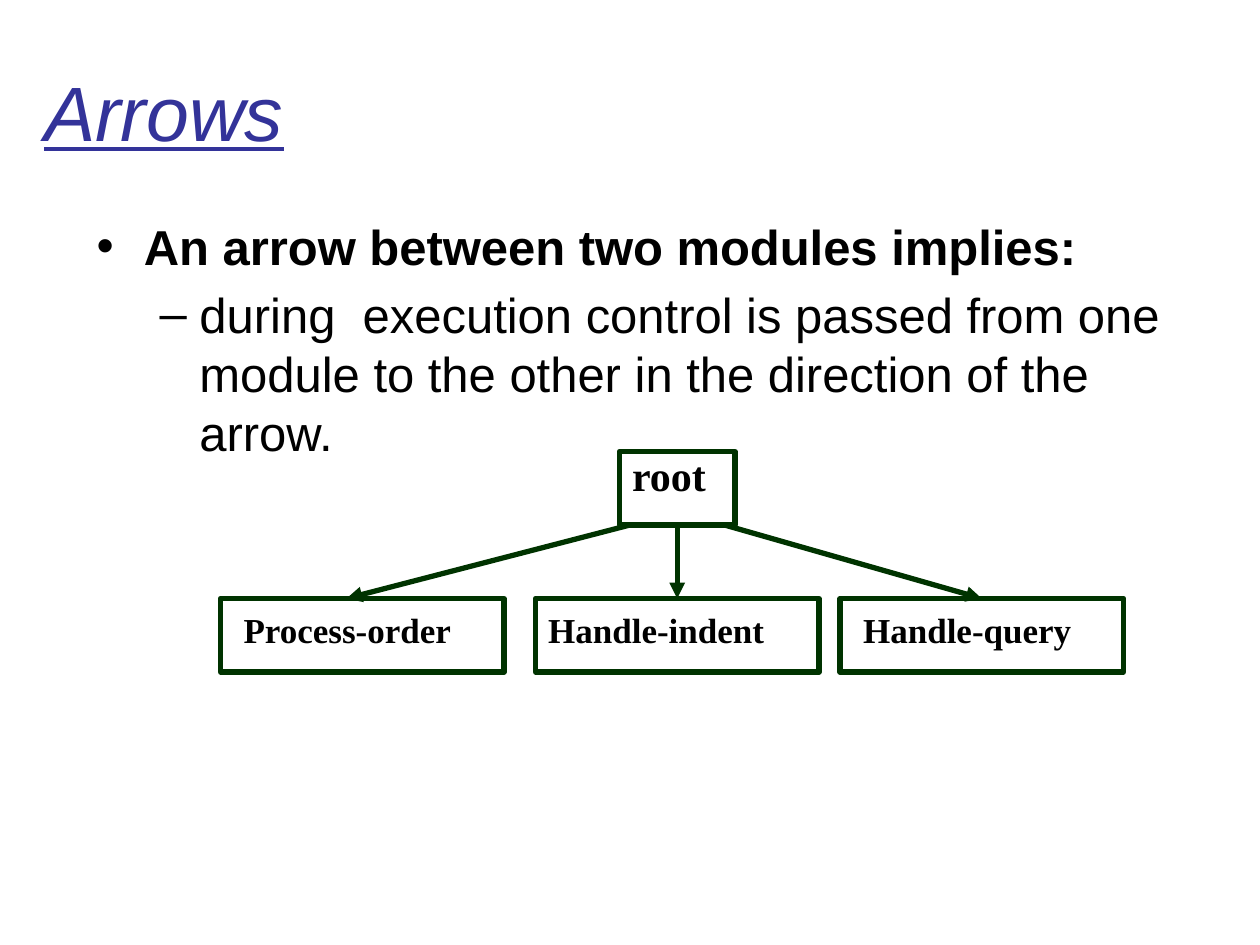
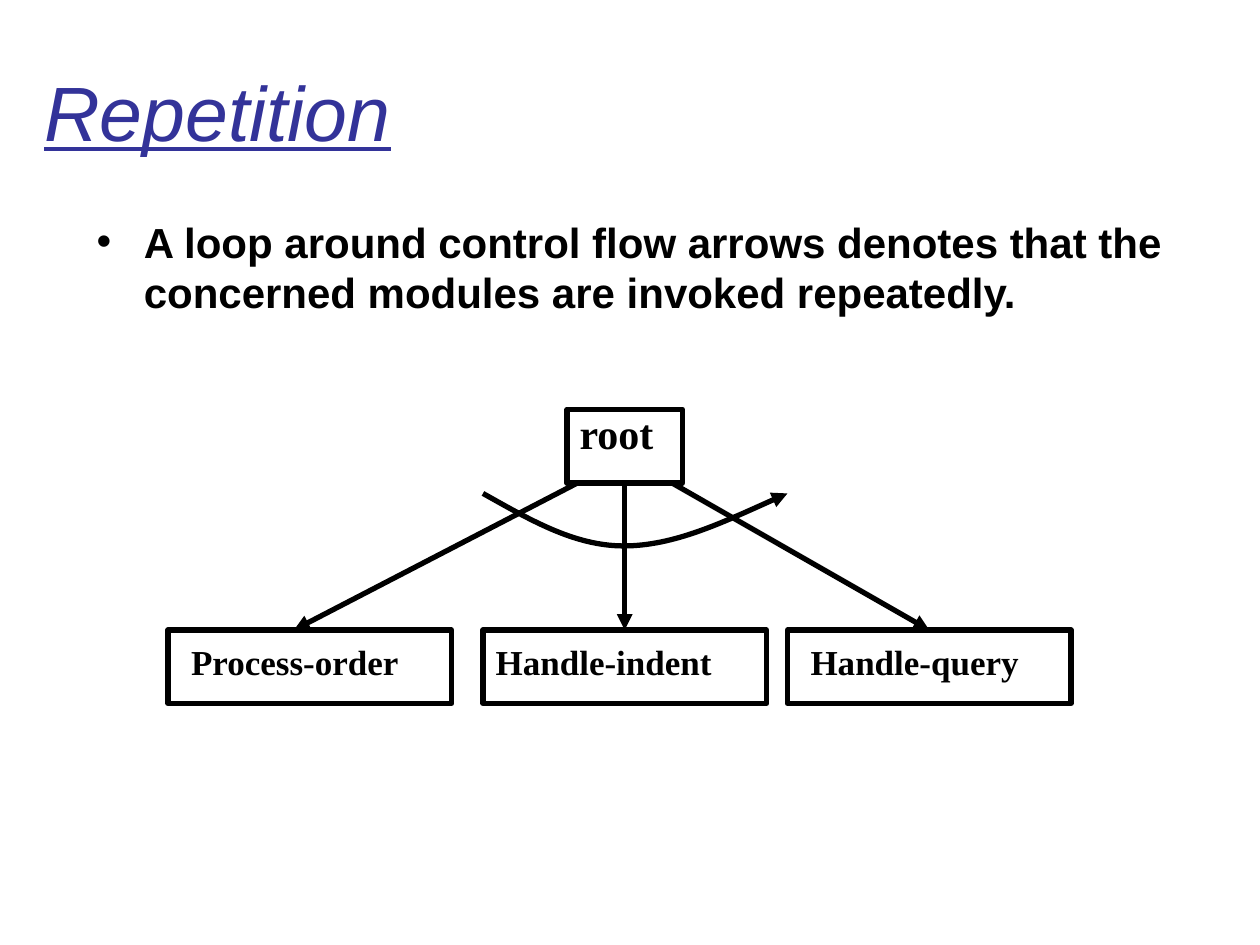
"""Build two slides on structure charts: control arrows and repetition."""
from dataclasses import dataclass

from lxml import etree
from pptx import Presentation
from pptx.dml.color import RGBColor
from pptx.enum.shapes import MSO_CONNECTOR, MSO_SHAPE
from pptx.enum.text import MSO_ANCHOR
from pptx.oxml.ns import qn
from pptx.util import Emu, Pt

STRAIGHT = MSO_CONNECTOR.STRAIGHT
ROUNDED = MSO_SHAPE.ROUNDED_RECTANGLE
TOP, MIDDLE = MSO_ANCHOR.TOP, MSO_ANCHOR.MIDDLE
TOP_SITE, BOTTOM_SITE = 0, 2
EMU_PER_PX = 7620
BLANK_LAYOUT = 6


@dataclass(frozen=True)
class Theme:
    """Colours, fonts and sizes shared by the slides."""
    heading: RGBColor = RGBColor(0x33, 0x33, 0x99)
    text: RGBColor = RGBColor(0, 0, 0)
    green: RGBColor = RGBColor(0, 0x33, 0)
    black: RGBColor = RGBColor(0, 0, 0)
    sans: str = "Arial"
    serif: str = "Times New Roman"
    title_size: int = 44
    large_body: int = 28
    body: int = 24
    root_size: int = 24
    module_size: int = 20
    line_width: int = 3


@dataclass(frozen=True)
class Module:
    """A called module, placed relative to the left of the root box."""
    name: str
    left: int
    label_inset: int
    label_width: int
    arrow_start: int
    arrow_end: int


THEME = Theme()
ROOT_WIDTH, MODULE_WIDTH, BOX_HEIGHT = 110, 270, 70
JOIN_TOLERANCE = 5
MODULES = (
    Module("Process-order", -380, 20, 250, 10, -260),
    Module("Handle-indent", -80, 10, 280, 50, 50),
    Module("Handle-query", 210, 20, 250, 100, 340),
)
BULLETS = (("•", 45, -45), ("–", 98, -38))


def px(value):
    """Turn pixels into EMU."""
    return Emu(value * EMU_PER_PX)


def add_text_frame(slide, left, top, width, height, anchor=TOP):
    """Add a wrapping text box and return its frame."""
    frame = slide.shapes.add_textbox(px(left), px(top), px(width), px(height)).text_frame
    frame.word_wrap = True
    frame.vertical_anchor = anchor
    frame.margin_left = frame.margin_right = px(2)
    frame.margin_top = frame.margin_bottom = px(6)
    return frame


def add_run(paragraph, text, size, font_name, color, **styles):
    """Add one run with its font settings."""
    run = paragraph.add_run()
    run.text = text
    run.font.size = Pt(size)
    run.font.name = font_name
    run.font.color.rgb = color
    for style, value in styles.items():
        setattr(run.font, style, value)


def add_title(slide, text):
    """Add the slide title."""
    frame = add_text_frame(slide, 40, 30, 1080, 150, MIDDLE)
    add_run(frame.paragraphs[0], text, THEME.title_size, THEME.sans,
            THEME.heading, italic=True, underline=True)


def set_bullet(paragraph, level):
    """Give a paragraph the bullet and indent of its level."""
    character, margin, indent = BULLETS[level]
    paragraph.level = level
    properties = paragraph._p.get_or_add_pPr()
    properties.set("marL", str(px(margin)))
    properties.set("indent", str(px(indent)))
    etree.SubElement(properties, qn("a:buFont"), typeface=THEME.sans)
    etree.SubElement(properties, qn("a:buChar"), char=character)


def add_body(slide, lines, size):
    """Add bulleted lines, one level deeper each."""
    frame = add_text_frame(slide, 90, 200, 1020, 540)
    for level, line in enumerate(lines):
        paragraph = frame.add_paragraph() if level else frame.paragraphs[0]
        set_bullet(paragraph, level)
        if level:
            paragraph.space_before = Pt(5.5)
        add_run(paragraph, line, size, THEME.sans, THEME.text, bold=level == 0)


def add_label(slide, text, left, top, width, height, size):
    """Add the name of a module."""
    paragraph = add_text_frame(slide, left, top, width, height).paragraphs[0]
    paragraph.line_spacing = 0.85
    add_run(paragraph, text, size, THEME.serif, THEME.text, bold=True)


def style_line(shape, color, arrow=False):
    """Set the outline and, if asked, an arrowhead at its end."""
    shape.line.color.rgb = color
    shape.line.width = Pt(THEME.line_width)
    if arrow:
        outline = shape._element.spPr.find(qn("a:ln"))
        etree.SubElement(outline, qn("a:tailEnd"), type="triangle")


def add_box(slide, left, top, width, color):
    """Add an outlined module box."""
    box = slide.shapes.add_shape(ROUNDED, px(left), px(top), px(width), px(BOX_HEIGHT))
    box.adjustments[0] = 0
    box.shadow.inherit = False
    box.fill.background()
    style_line(box, color)
    return box


def is_middle(box, x):
    """Tell whether x lies at the middle of the box."""
    return abs(box.left + box.width // 2 - px(x)) <= px(JOIN_TOLERANCE)


def add_call_arrow(slide, root, box, start_x, end_x, color):
    """Add an arrow from root to box, joined wherever it meets a middle."""
    arrow = slide.shapes.add_connector(
        STRAIGHT, px(start_x), root.top + root.height, px(end_x), box.top)
    if is_middle(root, start_x):
        arrow.begin_connect(root, BOTTOM_SITE)
    if is_middle(box, end_x):
        arrow.end_connect(box, TOP_SITE)
    style_line(arrow, color, arrow=True)
    etree.SubElement(arrow._element.spPr, qn("a:effectLst"))


def add_structure_chart(slide, left, top, module_top, color):
    """Add the root module, the modules it calls and the arrows."""
    root = add_box(slide, left, top, ROOT_WIDTH, color)
    add_label(slide, "root", left + 10, top, 150, 60, THEME.root_size)
    for module in MODULES:
        module_left = left + module.left
        box = add_box(slide, module_left, module_top, MODULE_WIDTH, color)
        add_label(slide, module.name, module_left + module.label_inset,
                  module_top + 10, module.label_width, 52, THEME.module_size)
        add_call_arrow(slide, root, box, left + module.arrow_start,
                       left + module.arrow_end, color)


def add_curved_arrow(slide, start, points, color):
    """Add an open curve, each three points making one Bézier segment."""
    builder = slide.shapes.build_freeform(*start, scale=EMU_PER_PX)
    builder.add_line_segments(points, close=False)
    curve = builder.convert_to_shape()
    outline = curve._element.spPr.find(".//" + qn("a:path"))
    segments = outline.findall(qn("a:lnTo"))
    for first in range(0, len(segments), 3):
        bezier = etree.SubElement(outline, qn("a:cubicBezTo"))
        for segment in segments[first:first + 3]:
            bezier.append(segment[0])
            outline.remove(segment)
    curve.shadow.inherit = False
    curve.fill.background()
    style_line(curve, color, arrow=True)


def add_slide(presentation, title, lines, body_size):
    """Add a blank slide with its title and body."""
    slide = presentation.slides.add_slide(presentation.slide_layouts[BLANK_LAYOUT])
    add_title(slide, title)
    add_body(slide, lines, body_size)
    return slide


def main():
    """Build and save the presentation."""
    presentation = Presentation()
    presentation.slide_width, presentation.slide_height = px(1200), px(900)

    arrows = add_slide(presentation, "Arrows", (
        "An arrow between two modules implies:",
        "during  execution control is passed from one module to the other "
        "in the direction of the arrow.",
    ), THEME.large_body)
    add_structure_chart(arrows, 590, 430, 570, THEME.green)

    repetition = add_slide(presentation, "Repetition", (
        "A loop around control flow arrows denotes that the concerned "
        "modules are invoked repeatedly.",
    ), THEME.body)
    add_structure_chart(repetition, 540, 390, 600, THEME.black)
    add_curved_arrow(repetition, (460, 470), (
        (503, 494), (546, 520), (594, 520),
        (642, 520), (696, 494), (750, 470),
    ), THEME.black)

    presentation.save("out.pptx")


if __name__ == "__main__":
    main()
